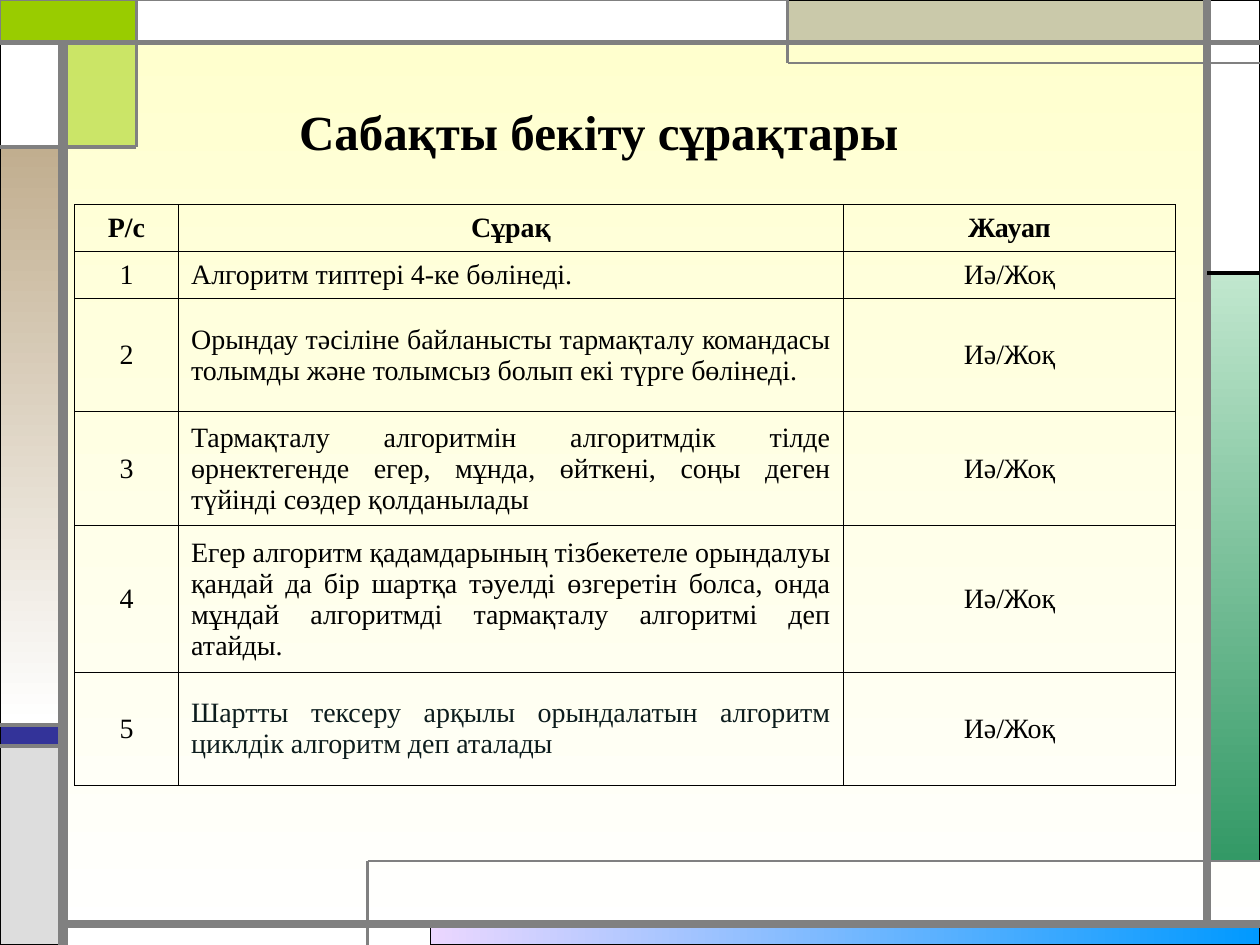
from dataclasses import dataclass

import lxml.etree
import pptx
import pptx.dml.color
import pptx.enum.shapes
import pptx.enum.text
import pptx.oxml
import pptx.oxml.ns
import pptx.util

Cm = pptx.util.Cm
Pt = pptx.util.Pt
Align = pptx.enum.text.PP_ALIGN
qn = pptx.oxml.ns.qn


@dataclass(frozen=True)
class Theme:
    font: str = "Times New Roman"
    title_size: float = 28
    table_size: float = 16
    border_width: float = 0.45
    black: str = "000000"
    white: str = "FFFFFF"
    gray: str = "808080"
    silver: str = "DDDDDD"
    cream: str = "FFFFCC"
    lime: str = "99CC00"
    khaki: str = "CAC9AA"
    navy: str = "333399"
    ink: str = "0C1C1D"
    sky: tuple = ("EBD7FF", "0099FF")
    green: tuple = ("C1E7CE", "339966")
    sand: tuple = ("C1AE8F", "FFFFFF")


THEME = Theme()
SLIDE_BOX = (0, 0, 25.4, 19.05)
TITLE_BOX = (5.77, 1.93, 12.6, 1.45)
TABLE_BOX = (1.5, 4.12, 22.2, 11.71)
COLUMN_SHARES = (2.1, 13.4, 6.7)
ROW_SHARES = (0.95, 0.95, 2.28, 2.3, 2.96, 2.27)
HEADER = ("Р/с", "Сұрақ", "Жауап")
ANSWER = "Иә/Жоқ"
QUESTIONS = (
    "Алгоритм типтері 4-ке бөлінеді.",
    "Орындау тәсіліне байланысты тармақталу командасы толымды және "
    "толымсыз болып екі түрге бөлінеді.",
    "Тармақталу алгоритмін алгоритмдік тілде өрнектегенде егер, мұнда, "
    "өйткені, соңы деген түйінді сөздер қолданылады",
    "Егер алгоритм қадамдарының тізбекетеле орындалуы қандай да бір шартқа "
    "тәуелді өзгеретін болса, онда мұндай алгоритмді тармақталу алгоритмі "
    "деп атайды.",
    "Шартты тексеру арқылы орындалатын алгоритм циклдік алгоритм деп аталады",
)


def rgb(color):
    return pptx.dml.color.RGBColor.from_string(color)


def fill_gradient(fill, colors, angle):
    fill.gradient()
    fill.gradient_angle = angle
    for stop, color in zip(fill.gradient_stops, colors):
        stop.color.rgb = rgb(color)


def add_panel(slide, edges, color, angle=270, line=THEME.black, width=0.75, alpha=None):
    left, top, right, bottom = edges
    shape = slide.shapes.add_shape(
        pptx.enum.shapes.MSO_SHAPE.RECTANGLE,
        Cm(left), Cm(top), Cm(right - left), Cm(bottom - top))
    shape.shadow.inherit = False
    if isinstance(color, tuple):
        fill_gradient(shape.fill, color, angle)
    else:
        shape.fill.solid()
        shape.fill.fore_color.rgb = rgb(color)
    if alpha is not None:
        color_element = shape.fill._xPr.find(".//" + qn("a:srgbClr"))
        lxml.etree.SubElement(color_element, qn("a:alpha"), val=str(alpha * 1000))
    shape.line.color.rgb = rgb(line)
    shape.line.width = Pt(width)


def add_rule(slide, ends, width, color=THEME.gray):
    connector = slide.shapes.add_connector(
        pptx.enum.shapes.MSO_CONNECTOR.STRAIGHT, *[Cm(end) for end in ends])
    connector.line.color.rgb = rgb(color)
    connector.line.width = Pt(width)
    lxml.etree.SubElement(connector._element.spPr, qn("a:effectLst"))


def add_frame(slide, box):
    left, top, width, height = box
    right, bottom = left + width, top + height
    inner_left, inner_right = left + 1.27, right - 1.06
    inner_top, inner_bottom = top + 0.85, bottom - 0.42
    corner_x, corner_y = left + 2.75, top + 2.96
    khaki_x, khaki_y = left + 15.88, top + 1.27
    step_x, step_y = left + 7.41, bottom - 1.69
    navy_top, navy_bottom = top + 14.61, top + 15.03
    green_top = top + 5.5

    add_panel(slide, (left + 8.68, inner_bottom, right, bottom), THEME.sky, angle=0)
    add_panel(slide, (inner_right, green_top, right, step_y), THEME.green)
    add_panel(slide, (left, navy_top, inner_left, navy_bottom), THEME.navy)
    add_panel(slide, (left, navy_bottom, inner_left, bottom), THEME.silver)
    add_panel(slide, (inner_right, top, right, green_top), THEME.white)
    add_panel(slide, (khaki_x, top, inner_right, inner_top), THEME.khaki)
    add_panel(slide, (inner_left, inner_top, corner_x, corner_y), THEME.lime, alpha=50)
    add_panel(slide, (left, corner_y, inner_left, navy_top), THEME.sand)
    add_panel(slide, (left, inner_top, inner_left, corner_y), THEME.white)
    add_panel(slide, (left, top, corner_x, inner_top), THEME.lime,
              line=THEME.gray, width=1.5)
    add_panel(slide, (corner_x, top, khaki_x, inner_top), THEME.white, line=THEME.gray)

    add_rule(slide, (inner_left, bottom, inner_left, inner_top), 6)
    add_rule(slide, (inner_left, inner_bottom, right, inner_bottom), 4.5)
    add_rule(slide, (inner_right, inner_bottom, inner_right, top), 4.5)
    add_rule(slide, (left, inner_top, right, inner_top), 3)
    add_rule(slide, (right, khaki_y, khaki_x, khaki_y), 1.5)
    add_rule(slide, (khaki_x, khaki_y, khaki_x, top), 1.5)
    add_rule(slide, (inner_right, green_top, right, green_top), 2.25, THEME.black)
    add_rule(slide, (corner_x, top, corner_x, corner_y), 1.5)
    add_rule(slide, (corner_x, corner_y, left, corner_y), 2.25)
    add_rule(slide, (step_x, bottom, step_x, step_y), 1.5)
    add_rule(slide, (step_x, step_y, right, step_y), 1.5)
    for y in (navy_top, navy_bottom):
        add_rule(slide, (inner_left, y, left, y), 2.25)


def write_text(text_frame, text, size, align, bold=False, color=THEME.black):
    paragraph = text_frame.paragraphs[0]
    paragraph.alignment = align
    run = paragraph.add_run()
    run.text = text
    run.font.name = THEME.font
    run.font.size = Pt(size)
    run.font.bold = bold
    run.font.color.rgb = rgb(color)


def add_title(slide, box):
    text_box = slide.shapes.add_textbox(*[Cm(length) for length in box])
    text_box.text_frame.word_wrap = False
    text_box.text_frame.auto_size = pptx.enum.text.MSO_AUTO_SIZE.SHAPE_TO_FIT_TEXT
    write_text(text_box.text_frame, "Сабақты бекіту сұрақтары",
               THEME.title_size, Align.CENTER, bold=True)


def set_borders(cell):
    properties = cell._tc.get_or_add_tcPr()
    for index, side in enumerate(("lnL", "lnR", "lnT", "lnB")):
        border = lxml.etree.Element(qn("a:" + side), w=str(Pt(THEME.border_width)))
        solid = lxml.etree.SubElement(border, qn("a:solidFill"))
        lxml.etree.SubElement(solid, qn("a:srgbClr"), val=THEME.black)
        properties.insert(index, border)


def add_questions(slide, box):
    left, top, width, height = box
    rows = [HEADER] + [(str(number), question, ANSWER)
                       for number, question in enumerate(QUESTIONS, 1)]
    table = slide.shapes.add_table(
        len(rows), len(HEADER), Cm(left), Cm(top), Cm(width), Cm(height)).table
    table.first_row = False
    table.horz_banding = False
    for column, share in zip(table.columns, COLUMN_SHARES):
        column.width = Cm(width * share / sum(COLUMN_SHARES))
    for row, share in zip(table.rows, ROW_SHARES):
        row.height = Cm(height * share / sum(ROW_SHARES))
    for row_index, texts in enumerate(rows):
        for column_index, text in enumerate(texts):
            cell = table.cell(row_index, column_index)
            cell.fill.background()
            set_borders(cell)
            cell.vertical_anchor = pptx.enum.text.MSO_ANCHOR.MIDDLE
            is_header = row_index == 0
            is_question = column_index == 1 and not is_header
            is_last = row_index == len(rows) - 1
            write_text(cell.text_frame, text, THEME.table_size,
                       Align.JUSTIFY if is_question else Align.CENTER, is_header,
                       THEME.ink if is_question and is_last else THEME.black)


def main():
    presentation = pptx.Presentation()
    presentation.slide_width, presentation.slide_height = Cm(25.4), Cm(19.05)
    slide = presentation.slides.add_slide(presentation.slide_layouts[6])
    fill_gradient(slide.background.fill, (THEME.cream, THEME.white), 270)
    add_frame(slide, SLIDE_BOX)
    add_questions(slide, TABLE_BOX)
    add_title(slide, TITLE_BOX)
    presentation.save("out.pptx")


if __name__ == "__main__":
    main()
